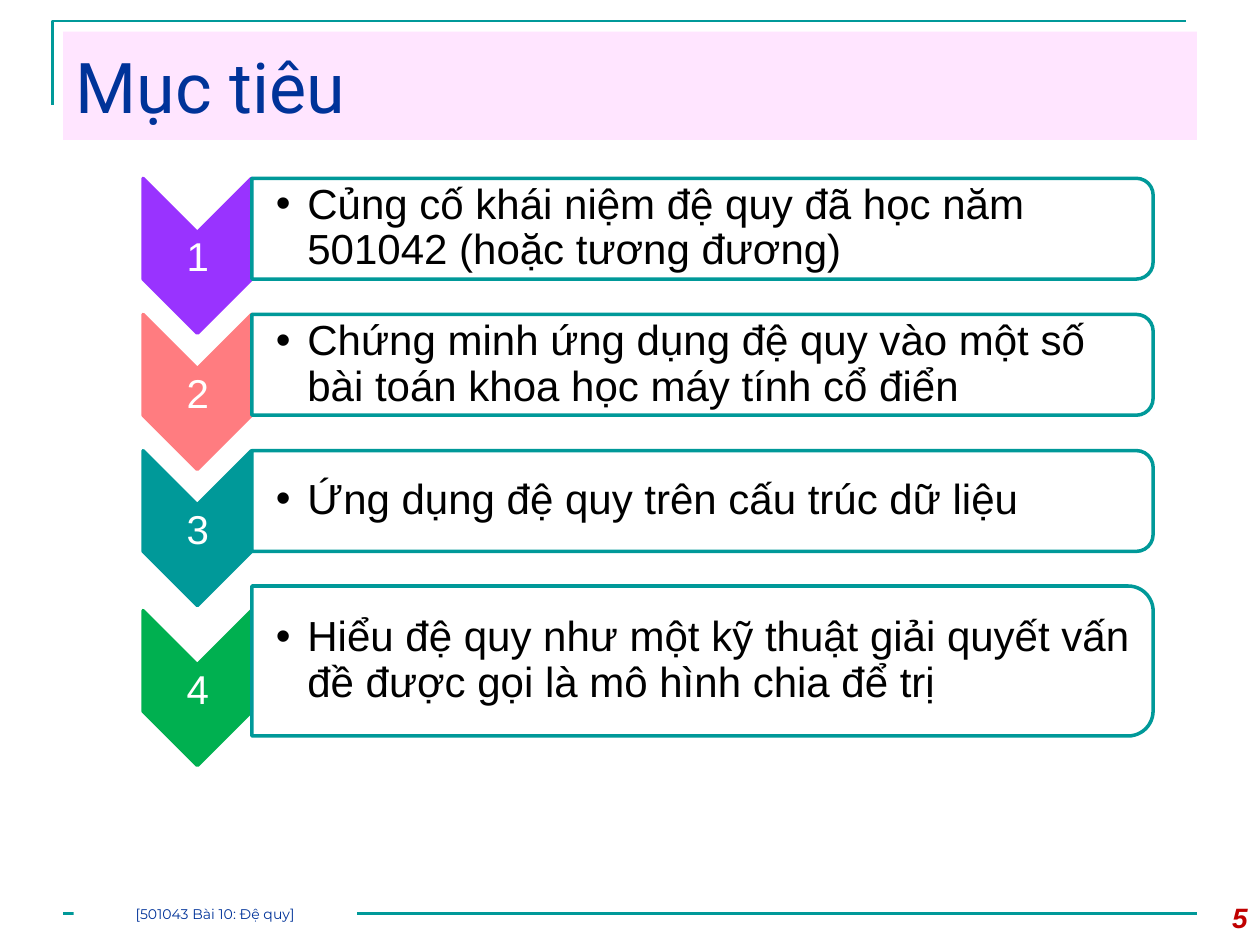
"""Build the lesson objectives slide with four numbered chevrons and panels."""
from lxml.etree import SubElement
from pptx import Presentation
from pptx.dml.color import RGBColor
from pptx.enum.shapes import MSO_CONNECTOR, MSO_SHAPE
from pptx.enum.text import MSO_ANCHOR, PP_ALIGN
from pptx.oxml.ns import qn
from pptx.util import Pt

COLORS = {
    "teal": "009999", "navy": "003399", "pink": "FF99FF", "red": "C00000",
    "white": "FFFFFF", "black": "000000", "violet": "9933FF",
    "coral": "FF7C80", "green": "00B050",
}
OBJECTIVES = [
    ("Củng cố khái niệm đệ quy đã học năm 501042 (hoặc tương đương)", "violet", 130.7, 57.6),
    ("Chứng minh ứng dụng đệ quy vào một số bài toán khoa học máy tính cổ điển", "coral", 208.5, 57.6),
    ("Ứng dụng đệ quy trên cấu trúc dữ liệu", "teal", 286.3, 57.6),
    ("Hiểu đệ quy như một kỹ thuật giải quyết vấn đề được gọi là mô hình chia để trị", "green", 377.7, 85.7),
]


def paint(shape, fill, line=None, opacity=100):
    shape.fill.solid()
    shape.fill.fore_color.rgb = RGBColor.from_string(COLORS[fill])
    if opacity < 100:
        color = shape.fill._xPr.find(qn("a:solidFill"))[0]
        SubElement(color, qn("a:alpha"), val=str(opacity * 1000))
    if line:
        shape.line.color.rgb = RGBColor.from_string(COLORS[line])
        shape.line.width = Pt(2)
    else:
        shape.line.fill.background()
    shape.shadow.inherit = False


def write(box, text, size, font, color, align, anchor=MSO_ANCHOR.MIDDLE, insets=None):
    frame = box.text_frame
    frame.word_wrap = True
    frame.vertical_anchor = anchor
    if insets:
        frame.margin_left, frame.margin_top, frame.margin_right, frame.margin_bottom = map(Pt, insets)
    para = frame.paragraphs[0]
    para.alignment = align
    span = para.add_run()
    span.text = text
    span.font.size = Pt(size)
    span.font.name = font
    span.font.color.rgb = RGBColor.from_string(COLORS[color])
    return para


deck = Presentation()
deck.slide_width, deck.slide_height = Pt(720), Pt(540)
page = deck.slides.add_slide(deck.slide_layouts[5])
shapes = page.shapes

builder = shapes.build_freeform(Pt(30), Pt(60))
builder.add_line_segments([(Pt(30), Pt(12)), (Pt(678), Pt(12))], close=False)
corner = builder.convert_to_shape()
corner.fill.background()
corner.shadow.inherit = False
rule = shapes.add_connector(MSO_CONNECTOR.STRAIGHT, Pt(36), Pt(522), Pt(684), Pt(522))
SubElement(rule._element.spPr, qn("a:effectLst"))
for stroke in (corner, rule):
    stroke.line.color.rgb = RGBColor.from_string(COLORS["teal"])
    stroke.line.width = Pt(1.5)

title = shapes.title
title.left, title.top, title.width, title.height = Pt(36), Pt(18), Pt(648), Pt(62)
paint(title, "pink", opacity=25)
write(title, "Mục tiêu", 40, "Roboto", "navy", PP_ALIGN.LEFT)

number = shapes.add_textbox(Pt(672), Pt(511), Pt(48), Pt(29))
para = write(number, "5", 16, "Arial", "red", PP_ALIGN.RIGHT, MSO_ANCHOR.TOP)
para.runs[0].font.bold = para.runs[0].font.italic = True

footer = shapes.add_shape(MSO_SHAPE.RECTANGLE, Pt(42), Pt(516), Pt(162), Pt(12))
paint(footer, "white")
write(footer, "[501043 Bài 10: Đệ quy]", 8, "Montserrat", "navy", PP_ALIGN.CENTER, insets=(0, 0, 0, 0))

for index, (text, color, middle, height) in enumerate(OBJECTIVES, 1):
    center = middle + 15.5
    chevron = shapes.add_shape(MSO_SHAPE.CHEVRON, Pt(68.5), Pt(center - 31), Pt(88.5), Pt(62))
    chevron.rotation = 90
    paint(chevron, color, color)
    label = shapes.add_textbox(Pt(82), Pt(center - 13.5), Pt(62), Pt(27))
    write(label, str(index), 23, "Arial", "white", PP_ALIGN.CENTER, insets=(1.5,) * 4)

    panel = shapes.add_shape(MSO_SHAPE.ROUND_2_SAME_RECTANGLE, Pt(401.4 - height / 2),
                             Pt(middle - 257.5), Pt(height), Pt(515))
    panel.rotation = 90
    paint(panel, "white", "teal", 90)
    box = shapes.add_textbox(Pt(144), Pt(middle - height / 2 + 2.5), Pt(512), Pt(height - 5))
    para = write(box, text, 24, "Arial", "black", PP_ALIGN.LEFT, insets=(13.7, 1.5, 1.5, 1.5))
    para.line_spacing = 0.9
    layout = para._p.get_or_add_pPr()
    layout.set("marL", str(Pt(18)))
    layout.set("indent", str(-Pt(18)))
    SubElement(layout, qn("a:buFont"), typeface="Arial")
    SubElement(layout, qn("a:buChar"), char="•")

deck.save("out.pptx")
